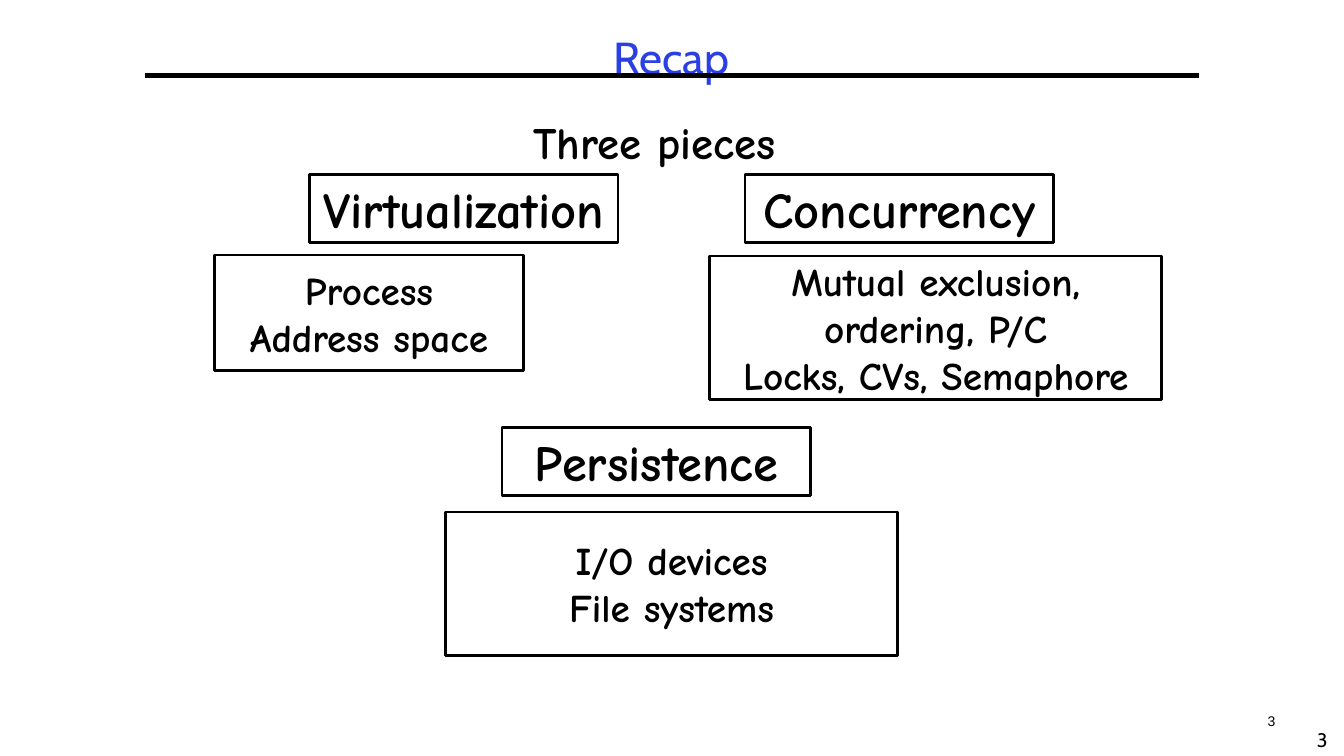
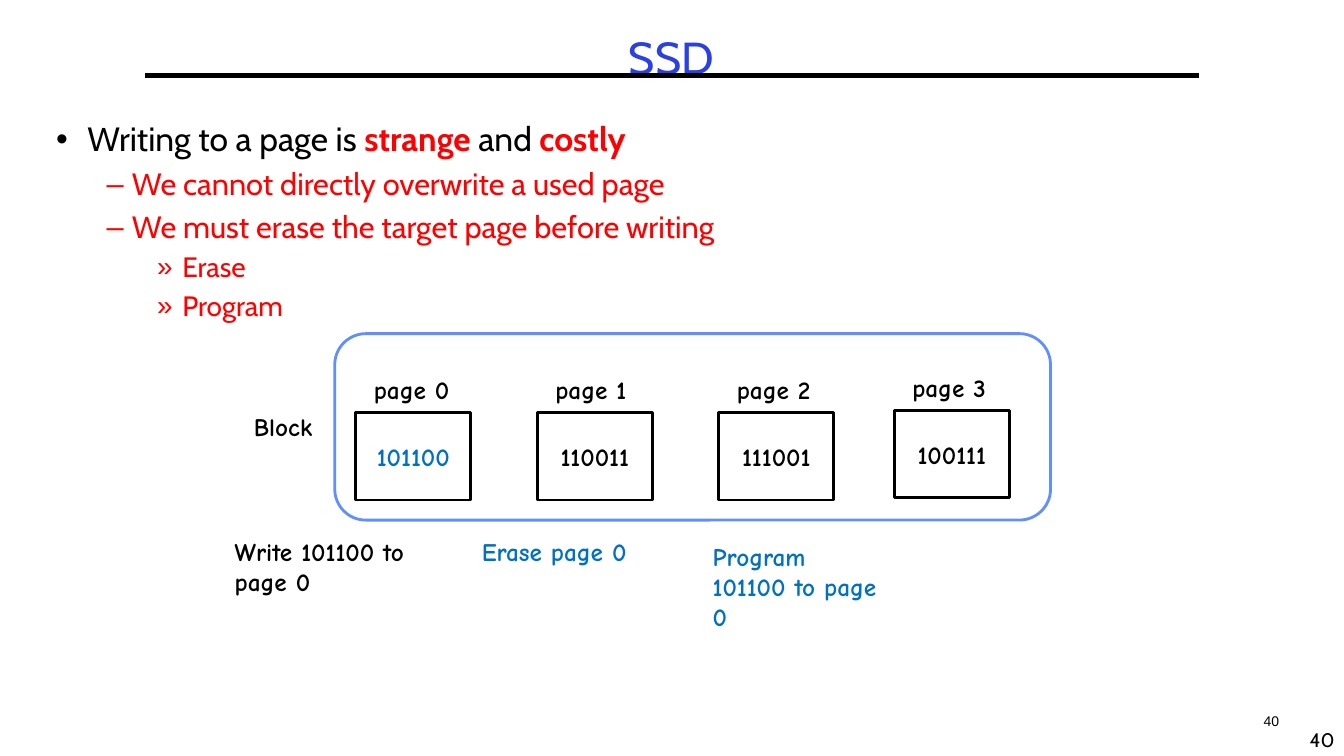
from lxml import etree
from pptx import Presentation
from pptx.dml.color import RGBColor
from pptx.enum.shapes import MSO_CONNECTOR, MSO_SHAPE
from pptx.enum.text import MSO_ANCHOR, MSO_AUTO_SIZE, PP_ALIGN
from pptx.oxml.ns import qn
from pptx.util import Inches, Pt

BLACK = RGBColor(0x00, 0x00, 0x00)
WHITE = RGBColor(0xFF, 0xFF, 0xFF)
RED = RGBColor(0xFF, 0x00, 0x00)
TITLE_BLUE = RGBColor(0x2A, 0x40, 0xE2)
STEP_BLUE = RGBColor(0x00, 0x70, 0xC0)
BLOCK_BLUE = RGBColor(0x61, 0x8F, 0xFD)
SANS, HAND, PLAIN = "Cabin", "Comic Neue", "Arial"
LEFT, CENTER = PP_ALIGN.LEFT, PP_ALIGN.CENTER
TOP, MIDDLE = MSO_ANCHOR.TOP, MSO_ANCHOR.MIDDLE
RECT, ROUNDED = MSO_SHAPE.RECTANGLE, MSO_SHAPE.ROUNDED_RECTANGLE
STRAIGHT = MSO_CONNECTOR.STRAIGHT
NO_FIT = MSO_AUTO_SIZE.NONE
TITLE_ONLY = 5

HEADING_SIZE = (3.06, 0.68)
PIECES = [
    ("Virtualization", (3.07, 1.73), ["Process", "Address space"], (2.13, 2.53, 3.06, 1.15)),
    ("Concurrency", (7.39, 1.73),
     ["Mutual exclusion, ordering, P/C", "Locks, CVs, Semaphore"], (7.04, 2.54, 4.48, 1.42)),
    ("Persistence", (4.98, 4.24), ["I/O devices", "File systems"], (4.42, 5.08, 4.48, 1.42)),
]

POINTS = [
    (0, [("Writing to a page is ", BLACK, False), ("strange ", RED, True),
         ("and ", BLACK, False), ("costly", RED, True)]),
    (1, [("We cannot directly overwrite a used page", RED, False)]),
    (1, [("We must erase the target page before writing", RED, False)]),
    (2, [("Erase", RED, False)]),
    (2, [("Program", RED, False)]),
]
LEVELS = [("•", 24, 0.31, 0.31), ("–", 22, 0.75, 0.25), ("»", 20, 1.25, 0.25)]

PAGE_SIZE = (1.14, 0.87)
PAGES = [
    ("101100", STEP_BLUE, 3.53, 4.09),
    ("110011", BLACK, 5.33, 4.09),
    ("111001", BLACK, 7.13, 4.09),
    ("100111", BLACK, 8.87, 4.07),
]
STEPS = [
    ("Write 101100 to page 0", BLACK, (2.23, 5.27, 1.9, 1.01), True),
    ("Erase page 0", STEP_BLUE, (4.68, 5.27, 1.81, 0.4), False),
    ("Program 101100 to page 0", STEP_BLUE, (6.97, 5.32, 1.9, 1.01), True),
]


def write(frame, lines, size=18, color=BLACK, font=HAND, bold=True,
          align=LEFT, anchor=TOP, wrap=True, spacing=None):
    frame.word_wrap = wrap
    frame.auto_size = NO_FIT
    frame.vertical_anchor = anchor
    for index, line in enumerate(lines):
        paragraph = frame.add_paragraph() if index else frame.paragraphs[0]
        paragraph.alignment = align
        paragraph.line_spacing = spacing
        runs = [(line, color, bold)] if isinstance(line, str) else line
        for text, run_color, run_bold in runs:
            run = paragraph.add_run()
            run.text = text
            run.font.name = font
            run.font.size = Pt(size)
            run.font.bold = run_bold
            run.font.color.rgb = run_color


def add_label(slide, area, lines, **style):
    label = slide.shapes.add_textbox(*map(Inches, area))
    write(label.text_frame, lines, **style)
    return label


def add_box(slide, area, lines=(), outline=BLACK, kind=RECT, **style):
    box = slide.shapes.add_shape(kind, *map(Inches, area))
    box.shadow.inherit = False
    box.fill.solid()
    box.fill.fore_color.rgb = WHITE
    box.line.color.rgb = outline
    box.line.width = Pt(2)
    write(box.text_frame, lines, align=CENTER, anchor=MIDDLE, **style)


def add_slide(deck, heading, number):
    slide = deck.slides.add_slide(deck.slide_layouts[TITLE_ONLY])
    title = slide.shapes.title
    title.left, title.top, title.width, title.height = map(Inches, (0.46, 0.3, 12.4, 0.58))
    rule = slide.shapes.add_connector(STRAIGHT, *map(Inches, (1.44, 0.75, 11.89, 0.75)))
    rule.line.color.rgb = BLACK
    rule.line.width = Pt(3)
    etree.SubElement(rule._element.spPr, qn("a:effectLst"))
    write(title.text_frame, [heading], size=32, color=TITLE_BLUE, font=SANS,
          bold=False, align=CENTER, spacing=0.9)
    add_label(slide, (12.9, 7.17, 0.43, 0.33), [number], size=14, font=SANS,
              bold=False, align=CENTER, wrap=False)
    add_label(slide, (12.36, 7.02, 0.5, 0.4), [number], size=10, font=PLAIN,
              bold=False, align=CENTER)
    return slide


def add_points(slide):
    frame = add_label(slide, (0.46, 1.17, 12.4, 5.62), []).text_frame
    write(frame, [runs for _, runs in POINTS], font=SANS, spacing=0.9)
    for index, (level, _) in enumerate(POINTS):
        mark, size, margin, hanging = LEVELS[level]
        paragraph = frame.paragraphs[index]
        paragraph.level = level
        paragraph.space_before = Pt(round(size * 0.3) if index else 0)
        properties = paragraph._p.get_or_add_pPr()
        properties.set("marL", str(Inches(margin)))
        properties.set("indent", str(-Inches(hanging)))
        etree.SubElement(properties, qn("a:buFont"), typeface=PLAIN)
        etree.SubElement(properties, qn("a:buChar"), char=mark)
        for run in paragraph.runs:
            run.font.size = Pt(size)


def build_recap(deck):
    slide = add_slide(deck, "Recap", "3")
    add_label(slide, (5.19, 1.09, 3, 0.64), ["Three pieces"], size=32, wrap=False)
    for piece, corner, topics, topic_area in PIECES:
        add_box(slide, corner + HEADING_SIZE, [piece], size=36)
        add_box(slide, topic_area, topics, size=28)


def build_ssd(deck):
    slide = add_slide(deck, "SSD", "40")
    add_box(slide, (3.32, 3.31, 7.1, 1.85), outline=BLOCK_BLUE, kind=ROUNDED)
    add_label(slide, (2.42, 4.03, 0.83, 0.4), ["Block"], wrap=False)
    add_points(slide)
    for index, (bits, color, left, top) in enumerate(PAGES):
        add_box(slide, (left, top) + PAGE_SIZE, [bits], color=color)
        add_label(slide, (left + 0.08, top - 0.43, 1.02, 0.4), [f"page {index}"], wrap=False)
    for step, color, area, wrap in STEPS:
        add_label(slide, area, [step], color=color, wrap=wrap)


def main():
    deck = Presentation()
    deck.slide_width, deck.slide_height = Inches(13.33), Inches(7.5)
    build_recap(deck)
    build_ssd(deck)
    deck.save("out.pptx")


if __name__ == "__main__":
    main()
